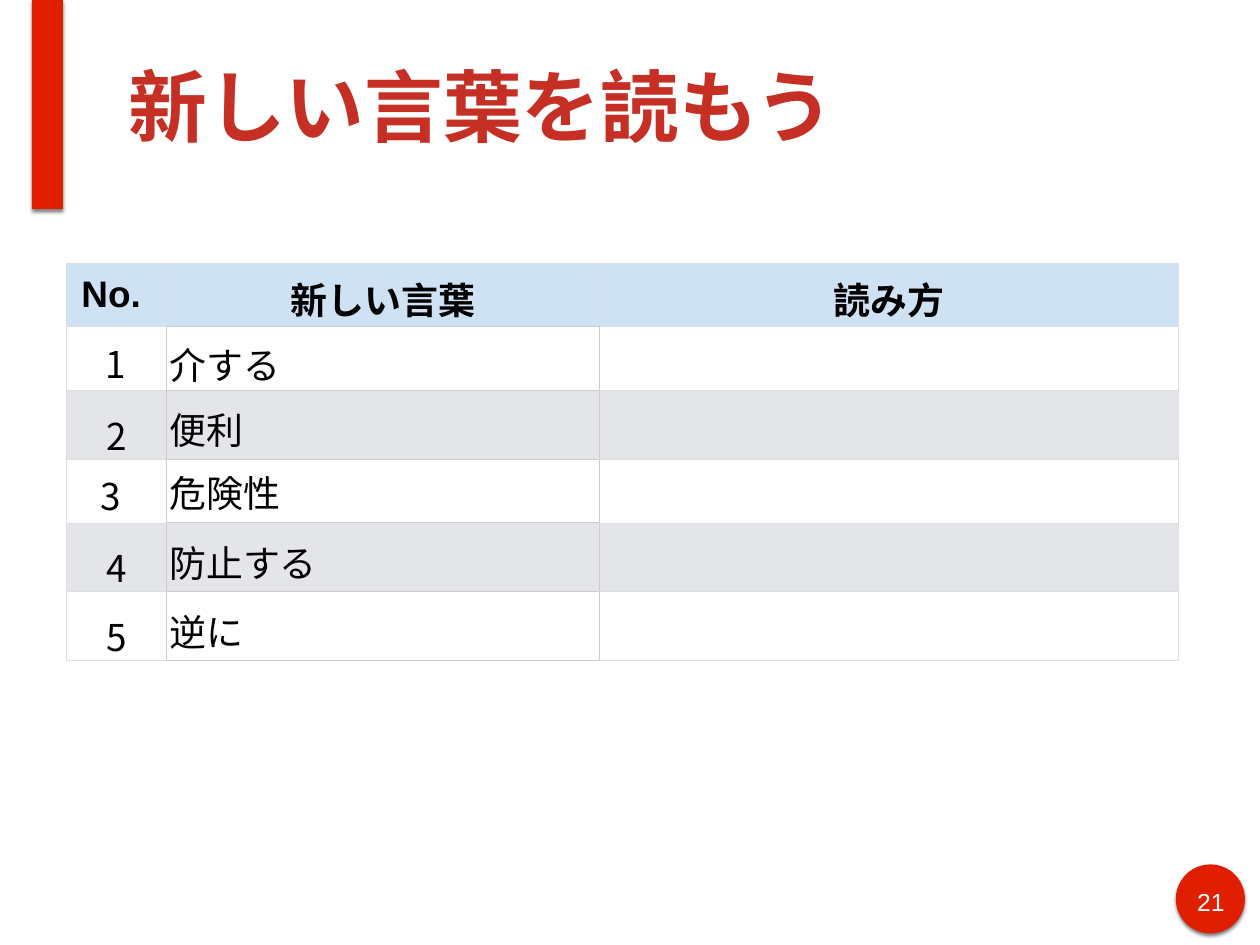
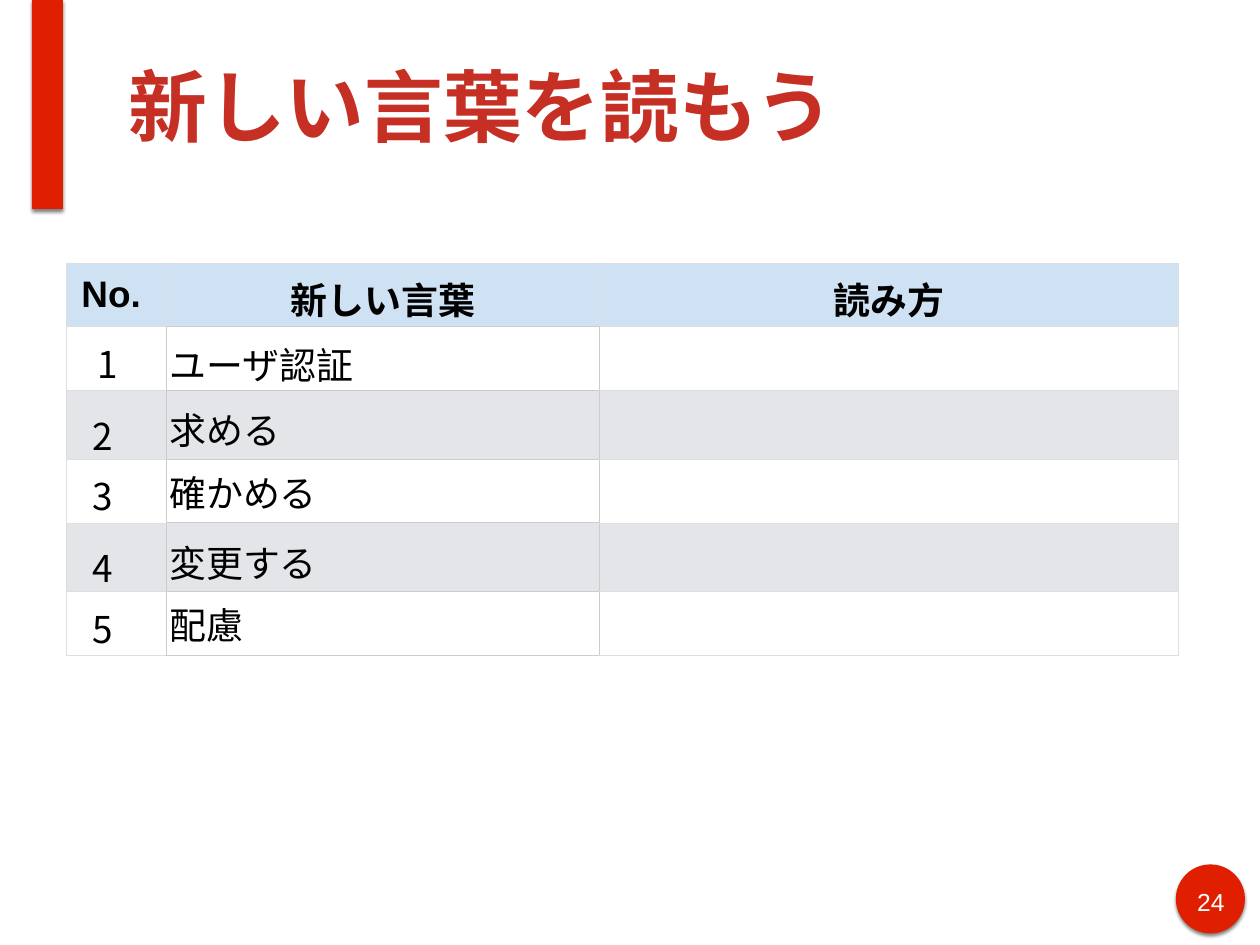
from dataclasses import dataclass
from typing import Optional

from lxml import etree
from pptx import Presentation
from pptx.dml.color import RGBColor
from pptx.enum.shapes import MSO_SHAPE
from pptx.enum.text import MSO_ANCHOR, PP_ALIGN
from pptx.oxml.ns import qn
from pptx.util import Inches, Pt

OVAL, RECT = MSO_SHAPE.OVAL, MSO_SHAPE.RECTANGLE
LEFT, CENTER = PP_ALIGN.LEFT, PP_ALIGN.CENTER
TOP, MIDDLE = MSO_ANCHOR.TOP, MSO_ANCHOR.MIDDLE

RED = RGBColor(0xDF, 0x1F, 0x00)
BRICK = RGBColor(0xC6, 0x30, 0x24)
BLACK = RGBColor(0x00, 0x00, 0x00)
WHITE = RGBColor(0xFF, 0xFF, 0xFF)
BLUE = RGBColor(0xCF, 0xE2, 0xF3)
BAND = RGBColor(0xE3, 0xE5, 0xE8)
EDGE = RGBColor(0xDC, 0xDE, 0xE0)
GRID = RGBColor(0xCC, 0xCC, 0xCC)

LATIN = "Arial"
ASIAN = "Noto Sans CJK JP"
TITLE = "新しい言葉を読もう"
HEADS = ("No.", "新しい言葉", "読み方")
COLS = (1.13, 4.88, 6.54)
ROW = 0.72
LOOSE = 1.15
PAD = 0.1


@dataclass(frozen=True)
class Style:
    size: int
    color: RGBColor
    font: str = LATIN
    bold: bool = False


@dataclass(frozen=True)
class Word:
    text: str
    loose: bool = True
    indent: Optional[float] = None
    tight: bool = False


@dataclass(frozen=True)
class Page:
    number: int
    words: tuple[Word, ...]


HEADING = Style(64, BRICK, bold=True)
FOOTER = Style(20, WHITE)
HEAD = Style(30, BLACK, bold=True)
BODY = Style(30, BLACK, ASIAN)

PAGES = (
    Page(21, (
        Word("介する", indent=0.34, tight=True),
        Word("便利"),
        Word("危険性", loose=False, indent=0.28, tight=True),
        Word("防止する"),
        Word("逆に"),
    )),
    Page(24, (
        Word("ユーザ認証", indent=0.25, tight=True),
        Word("求める", indent=0.19),
        Word("確かめる", loose=False, indent=0.19, tight=True),
        Word("変更する", indent=0.19),
        Word("配慮", loose=False, indent=0.19, tight=True),
    )),
)


def write(frame, text: str, style: Style, align=LEFT, loose: bool = False) -> None:
    para = frame.paragraphs[0]
    para.text = text
    para.alignment = align
    if loose:
        para.line_spacing = LOOSE
    font = para.font
    font.size = Pt(style.size)
    font.bold = style.bold
    font.color.rgb = style.color
    font.name = style.font
    props = para._p.pPr.find(qn("a:defRPr"))
    etree.SubElement(props, qn("a:ea"), typeface=ASIAN)


def shade(shape) -> None:
    shape.shadow.inherit = False
    effects = shape._element.spPr.find(qn("a:effectLst"))
    shadow = etree.SubElement(
        effects, qn("a:outerShdw"), blurRad=str(Pt(3)), dist=str(Pt(2)),
        dir="5400000", rotWithShape="0")
    color = etree.SubElement(shadow, qn("a:srgbClr"), val=str(BLACK))
    etree.SubElement(color, qn("a:alpha"), val="49000")


def block(slide, kind, left: float, top: float, width: float, height: float) -> None:
    shape = slide.shapes.add_shape(
        kind, Inches(left), Inches(top), Inches(width), Inches(height))
    shape.fill.solid()
    shape.fill.fore_color.rgb = RED
    shape.line.fill.background()
    shade(shape)


def label(slide, text: str, style: Style, left: float, top: float,
          width: float, height: float, align, anchor) -> None:
    box = slide.shapes.add_textbox(
        Inches(left), Inches(top), Inches(width), Inches(height))
    frame = box.text_frame
    frame.word_wrap = True
    frame.vertical_anchor = anchor
    frame.margin_left = frame.margin_right = Inches(0.06)
    frame.margin_top = frame.margin_bottom = Inches(0.06)
    write(frame, text, style, align)


def border(cell, row: int, col: int) -> None:
    if row == 0:
        dark = "B" if col == 1 else ""
    else:
        dark = ("R", "LRTB", "L")[col]
    props = cell._tc.get_or_add_tcPr()
    for side in "LRTB":
        color, width = (GRID, 0.83) if side in dark else (EDGE, 0.75)
        line = etree.SubElement(props, qn(f"a:ln{side}"), w=str(Pt(width)))
        fill = etree.SubElement(line, qn("a:solidFill"))
        etree.SubElement(fill, qn("a:srgbClr"), val=str(color))


def pad(cell, left: float, right: float, edge: float) -> None:
    cell.margin_left, cell.margin_right = Inches(left), Inches(right)
    cell.margin_top = cell.margin_bottom = Inches(edge)


def grid(slide, words: tuple[Word, ...]) -> None:
    count = len(words) + 1
    table = slide.shapes.add_table(
        count, len(COLS), Inches(0.75), Inches(2.97),
        Inches(sum(COLS)), Inches(ROW * count)).table
    table.first_row = table.horz_banding = False
    for column, width in zip(table.columns, COLS):
        column.width = Inches(width)
    for row in range(count):
        table.rows[row].height = Inches(ROW)
        for col in range(len(COLS)):
            cell = table.cell(row, col)
            border(cell, row, col)
            cell.fill.solid()
            cell.fill.fore_color.rgb = BLUE if row == 0 else (BAND, WHITE)[row % 2]
            cell.vertical_anchor = MIDDLE
            pad(cell, PAD, PAD, PAD)
    for col, text in enumerate(HEADS):
        write(table.cell(0, col).text_frame, text, HEAD, CENTER)
    table.cell(0, 0).margin_right = Inches(0.22)
    for row, word in enumerate(words, 1):
        number, entry = table.cell(row, 0), table.cell(row, 1)
        align = CENTER if word.indent is None else LEFT
        pad(number, PAD + (word.indent or 0), PAD, PAD)
        write(number.text_frame, str(row), BODY, align, not word.tight)
        pad(entry, 0.03, 0.03, 0.02)
        write(entry.text_frame, word.text, BODY, LEFT, word.loose)


def draw(deck, page: Page) -> None:
    slide = deck.slides.add_slide(deck.slide_layouts[6])
    block(slide, OVAL, 13.27, 9.76, 0.78, 0.78)
    block(slide, RECT, 0.36, 0, 0.35, 2.36)
    label(slide, str(page.number), FOOTER, 13.42, 9.95, 0.49, 0.39, CENTER, TOP)
    label(slide, TITLE, HEADING, 1.39, 0.12, 12.14, 2.12, LEFT, MIDDLE)
    grid(slide, page.words)


def main() -> None:
    deck = Presentation()
    deck.slide_width, deck.slide_height = Inches(14.22), Inches(10.67)
    for page in PAGES:
        draw(deck, page)
    deck.save("out.pptx")


if __name__ == "__main__":
    main()
